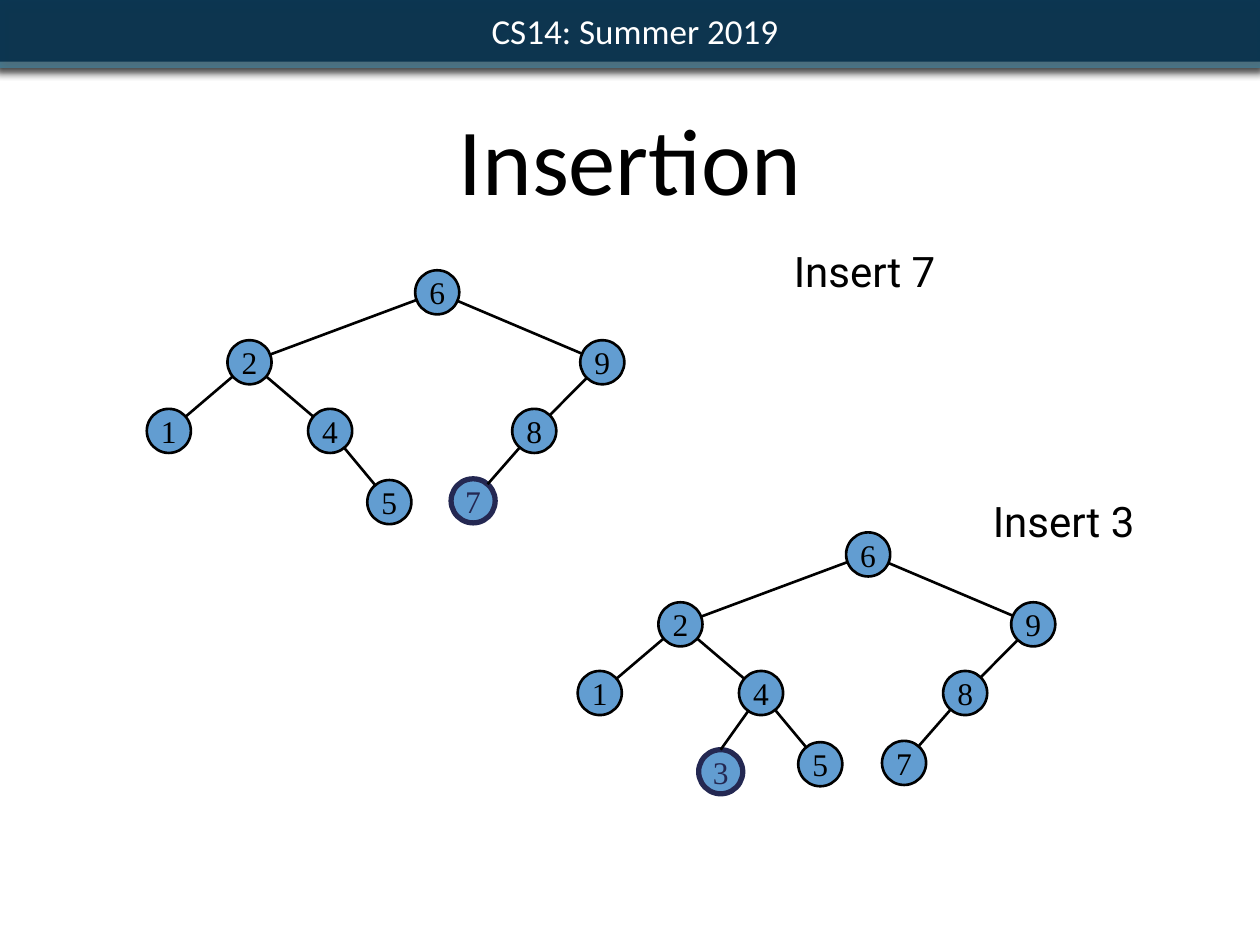
from dataclasses import dataclass
from math import hypot

from lxml.etree import SubElement as Sub
from pptx import Presentation
from pptx.dml.color import RGBColor as Rgb
from pptx.enum.shapes import MSO_CONNECTOR as Link, MSO_SHAPE as Kind
from pptx.enum.text import MSO_ANCHOR as Anchor, MSO_AUTO_SIZE as Fit, PP_ALIGN as Align
from pptx.oxml.ns import qn
from pptx.util import Inches, Pt

COLS, ROWS = 100, 75
WIDE, HIGH = Inches(10), Inches(7.5)


@dataclass(frozen=True)
class Theme:
    ink: str = "000000"
    white: str = "FFFFFF"
    node: str = "629DD1"
    fresh: str = "242852"
    bar: str = "062F4B"
    strip: str = "427A92"
    haze: str = "5E5E5E"
    sans: str = "Calibri"
    note: str = "Roboto"
    serif: str = "Times New Roman"
    big: int = 54
    mid: int = 24
    small: int = 20
    tiny: int = 18
    thin: float = 1.5
    thick: float = 3


def across(cols):
    return round(cols * WIDE / COLS)


def down(rows):
    return round(rows * HIGH / ROWS)


def box(left, top, width, height):
    return across(left), down(top), across(width), down(height)


def write(shape, text, font, size, color, align=Align.CENTER,
          anchor=Anchor.MIDDLE, inset=0.5, wrap=True, space=None):
    frame = shape.text_frame
    frame.word_wrap, frame.vertical_anchor = wrap, anchor
    frame.margin_left = frame.margin_right = across(inset)
    frame.margin_top = frame.margin_bottom = down(inset)
    para = frame.paragraphs[0]
    para.alignment = align
    if space:
        para.line_spacing = Pt(space)
    run = para.add_run()
    run.text = text
    run.font.name, run.font.size = font, Pt(size)
    run.font.color.rgb = Rgb.from_string(color)
    return para


class Deck:
    RADIUS = 1.75

    def __init__(self, theme):
        self.theme = theme
        self.file = Presentation()
        self.file.slide_width, self.file.slide_height = WIDE, HIGH
        self.page = self.file.slides.add_slide(self.file.slide_layouts[5])
        self.shapes = self.page.shapes

    def title(self, text, *place):
        head = self.shapes.title
        head.left, head.top, head.width, head.height = box(*place)
        look = self.theme
        write(head, text, look.sans, look.big, look.ink,
              anchor=Anchor.BOTTOM, space=58)
        # Bring the title in front of the header bars.
        self.shapes._spTree.append(head._element)

    def solid(self, kind, place, fill):
        shape = self.shapes.add_shape(kind, *box(*place))
        shape.shadow.inherit = False
        shape.fill.solid()
        shape.fill.fore_color.rgb = Rgb.from_string(fill)
        return shape

    def bar(self, place, fill, shade, dark, alpha=100):
        """Borderless bar with a soft shadow below it."""
        bar = self.solid(Kind.RECTANGLE, place, fill)
        bar.line.fill.background()
        props = bar._element.spPr
        tone = props.find(qn("a:solidFill"))[0]
        Sub(tone, qn("a:alpha"), val=str(alpha * 1000))
        cast = Sub(props.find(qn("a:effectLst")), qn("a:outerShdw"),
                   blurRad=str(Pt(5)), dist=str(Pt(2)), dir="5400000",
                   rotWithShape="0")
        tone = Sub(cast, qn("a:srgbClr"), val=shade)
        Sub(tone, qn("a:alpha"), val=str(dark * 1000))
        return bar

    def node(self, text, x, y, fresh):
        look, size = self.theme, 2 * self.RADIUS
        color = look.fresh if fresh else look.ink
        ring = self.solid(Kind.OVAL, (x - size / 2, y - size / 2, size, size), look.node)
        ring.line.color.rgb = Rgb.from_string(color)
        ring.line.width = Pt(look.thick if fresh else look.thin)
        write(ring, text, look.serif, look.tiny, color, inset=0, wrap=False)
        return ring

    def edge(self, start, end, crown=None):
        """Join two node centres rim to rim, or reach the top of crown."""
        (x1, y1), (x2, y2) = start, end
        if crown:
            y2 -= self.RADIUS
        run, drop = x2 - x1, y2 - y1
        part = self.RADIUS / hypot(run, drop)
        dx, dy = run * part, drop * part
        line = self.shapes.add_connector(
            Link.STRAIGHT, across(x1 + dx), down(y1 + dy),
            across(x2 - dx), down(y2 - dy))
        if crown:
            line.end_connect(crown, 0)
        line.line.color.rgb = Rgb.from_string(self.theme.ink)
        line.line.width = Pt(self.theme.thin)
        Sub(line._element.spPr, qn("a:effectLst"))

    def tree(self, x, y, keys, fresh):
        spots = {key: (x + SPOTS[key][0], y + SPOTS[key][1]) for key in keys}
        rings = {key: self.node(key, *spot, key == fresh)
                 for key, spot in spots.items()}
        for key in keys:
            top = PARENT.get(key)
            if top:
                self.edge(spots[top], spots[key], rings[key] if key == "3" else None)

    def note(self, text, *place):
        look = self.theme
        area = self.shapes.add_textbox(*box(*place))
        write(area, text, look.note, look.mid, look.ink,
              align=Align.LEFT, wrap=False)
        area.text_frame.auto_size = Fit.SHAPE_TO_FIT_TEXT


# Node centres in grid cells, measured from the root.
SPOTS = {
    "6": (0, 0), "2": (-14.9, 5.55), "9": (13.1, 5.55),
    "1": (-21.3, 11), "4": (-8.5, 11), "8": (7.7, 11),
    "5": (-3.8, 16.65), "7": (2.85, 16.55), "3": (-11.7, 17.25),
}
PARENT = {"2": "6", "9": "6", "1": "2", "4": "2", "8": "9",
          "5": "4", "7": "8", "3": "4"}


def main():
    look = Theme()
    deck = Deck(look)
    deck.bar((-0.4, 0, 100.7, 5.4), look.strip, look.ink, 75)
    head = deck.bar((-0.1, 0, 100.3, 4.9), look.bar, look.haze, 50, alpha=90)
    line = write(head, "CS14: Summer 2019", look.sans, look.small, look.white, inset=0.6)
    line._p.get_or_add_pPr().set("indent", str(across(0.7)))
    deck.title("Insertion", 5, 0, 90, 17.5)
    deck.tree(34.7, 23.2, "62914857", fresh="7")
    deck.tree(68.9, 44, "629148573", fresh="3")
    deck.note("Insert 7", 62.5, 19, 12.6, 5)
    deck.note("Insert 3", 78.3, 38.8, 12.6, 5)
    deck.file.save("out.pptx")


if __name__ == "__main__":
    main()
